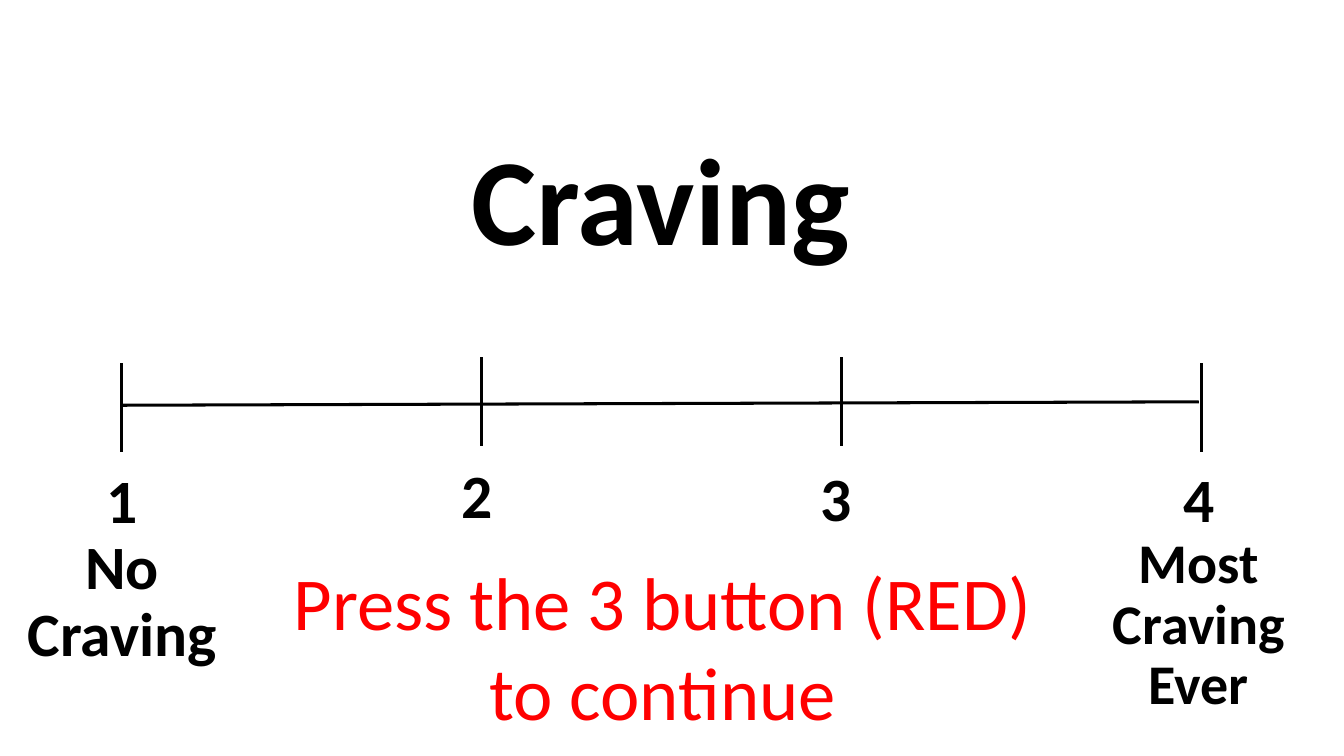
from pptx import Presentation
from pptx.dml.color import RGBColor
from pptx.enum.shapes import MSO_CONNECTOR
from pptx.enum.text import MSO_ANCHOR, MSO_AUTO_SIZE, PP_ALIGN
from pptx.oxml.ns import qn
from pptx.util import Cm, Pt
from lxml import etree

CENTER, LEFT = PP_ALIGN.CENTER, PP_ALIGN.LEFT
TOP = MSO_ANCHOR.TOP
NO_FIT = MSO_AUTO_SIZE.NONE
STRAIGHT = MSO_CONNECTOR.STRAIGHT
FONT, BLACK, RED = "Calibri", "000000", "FF0000"


def color(value):
    return RGBColor.from_string(value)


class ScaleSlide:
    def __init__(self, prs):
        self.slide = prs.slides.add_slide(prs.slide_layouts[0])

    def fill_text(self, sp, box, lines, fill=BLACK, bold=True, align=CENTER,
                  spacing=0.9, inset=0.25):
        sp.left, sp.top, sp.width, sp.height = map(Cm, box)
        tf = sp.text_frame
        tf.word_wrap = True
        tf.auto_size = NO_FIT
        tf.vertical_anchor = TOP
        tf.margin_left = tf.margin_right = Cm(inset)
        tf.margin_top = tf.margin_bottom = Cm(0.18)
        tf.text = "\n".join(text for text, size in lines)
        for p, (text, size) in zip(tf.paragraphs, lines):
            p.alignment = align
            p.line_spacing = spacing
            p.space_before = Pt(0)
            for r in p.runs:
                r.font.name = FONT
                r.font.size = Pt(size)
                r.font.bold = bold
                r.font.color.rgb = color(fill)

    def placeholder(self, index, box, lines):
        self.fill_text(self.slide.placeholders[index], box, lines)

    def text(self, box, lines, **style):
        sp = self.slide.shapes.add_textbox(*map(Cm, box))
        self.fill_text(sp, box, lines, **style)

    def line(self, x1, y1, x2, y2):
        cxn = self.slide.shapes.add_connector(STRAIGHT, *map(Cm, (x1, y1, x2, y2)))
        cxn.line.color.rgb = color(BLACK)
        cxn.line.width = Pt(3.25)
        etree.SubElement(cxn._element.spPr, qn("a:effectLst"))


def main():
    prs = Presentation()
    prs.slide_width, prs.slide_height = Cm(50.8), Cm(28.58)
    s = ScaleSlide(prs)

    s.placeholder(0, (-0.43, 5.08, 50.8, 3.63), [("Craving", 132)])
    s.placeholder(1, (0.08, 17.58, 9.07, 3.68), [("1", 66), ("No Craving", 66)])
    s.text((39.83, 17.55, 10.97, 4.24),
           [("4", 66), ("Most Craving", 60), ("Ever", 60)], inset=0.38)

    s.line(4.6, 15.32, 45.31, 15.19)
    for i, top in enumerate((13.74, 13.51, 13.51, 13.74)):
        x = 4.6 + i * 13.6
        s.line(x, top, x, top + 3.35)

    for label, left, top in (("2", 17.2, 17.09), ("3", 30.78, 17.2)):
        s.text((left, top, 2.01, 4.8), [(label, 66)], align=LEFT, spacing=1.0)

    s.text((10.26, 20.85, 29.57, 7.09),
           [("Press the 3 button (RED) to continue", 80)],
           fill=RED, bold=False, spacing=1.0)
    prs.save("out.pptx")


if __name__ == "__main__":
    main()
